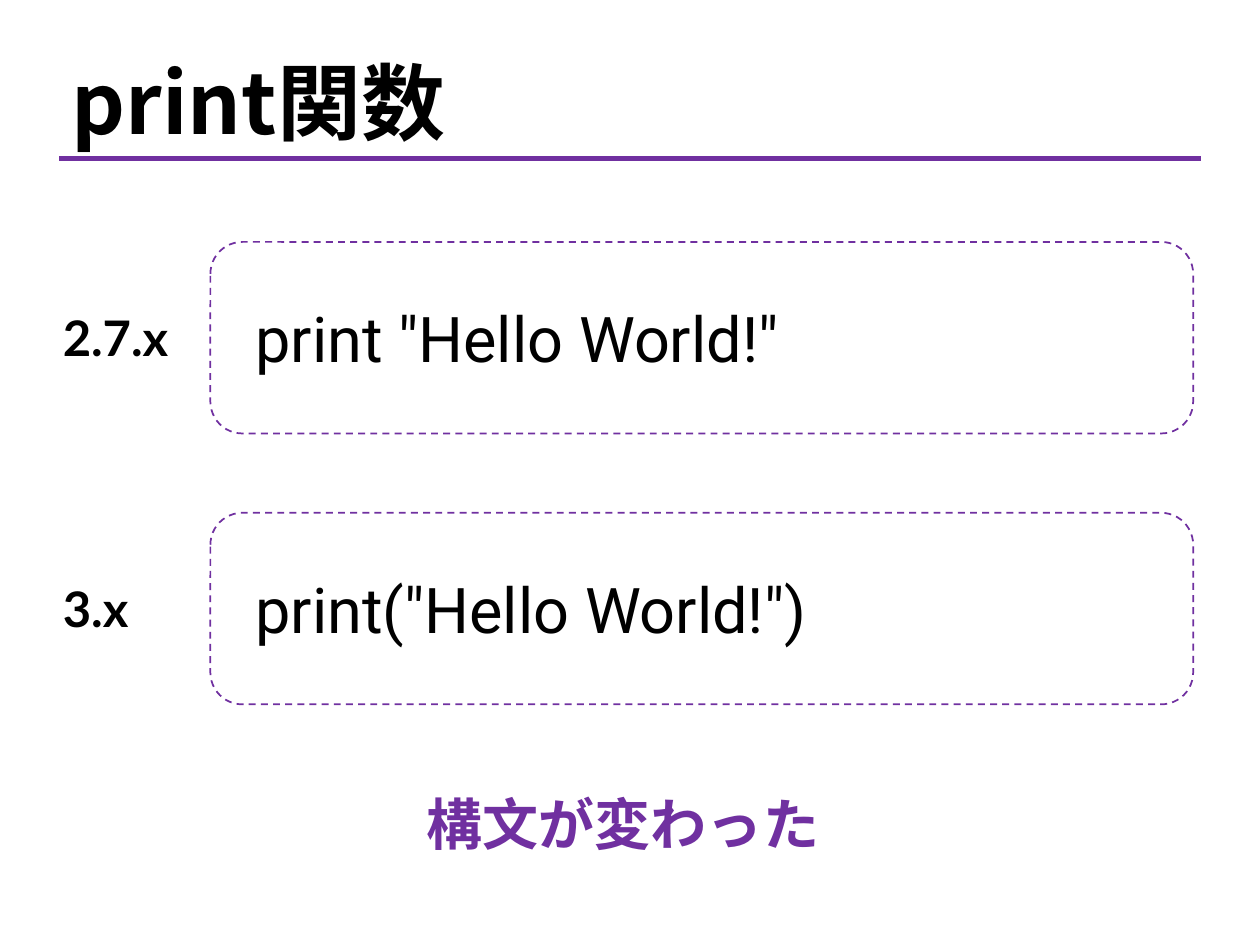
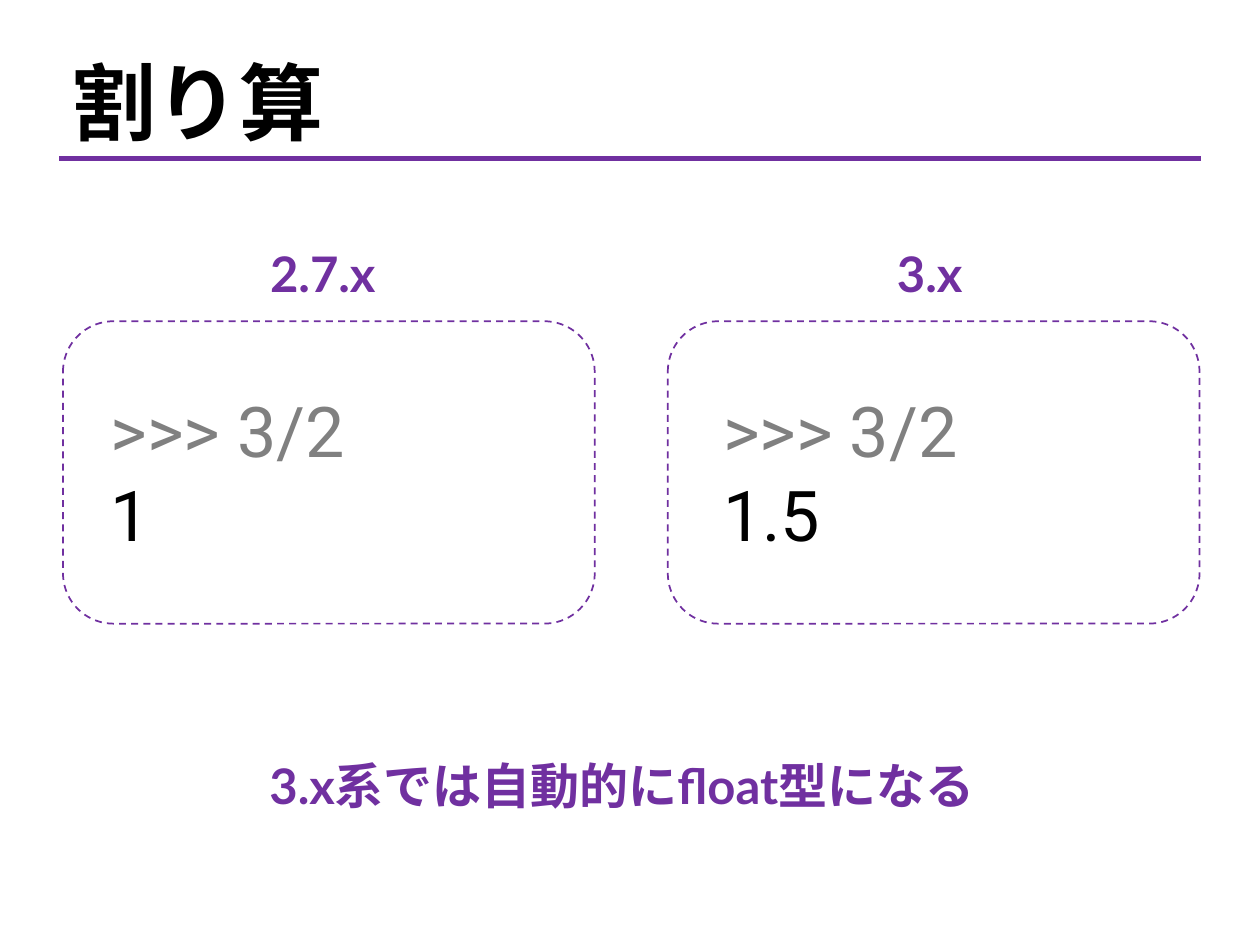
from dataclasses import dataclass
from lxml.etree import SubElement
from pptx import Presentation
from pptx.dml.color import RGBColor
from pptx.enum.dml import MSO_LINE
from pptx.enum.shapes import MSO_CONNECTOR, MSO_SHAPE
from pptx.oxml.ns import qn
from pptx.util import Inches, Pt


@dataclass(frozen=True)
class Theme:
    accent: str = "7030A0"
    ink: str = "000000"
    faint: str = "808080"
    asian: str = "Noto Sans CJK JP"
    sans: str = "Lato"
    code: str = "Roboto"
    title: int = 48
    result: int = 40
    line: int = 36
    note: int = 32
    label: int = 28
    rule: int = 3
    edge: int = 1


T = Theme()


def paint(name):
    return RGBColor.from_string(name)


def write(slide, box, lines, face, size, bold=False, wrap=False):
    frame = slide.shapes.add_textbox(*map(Inches, box)).text_frame
    frame.word_wrap = wrap
    for i, (text, color) in enumerate(lines):
        para = frame.add_paragraph() if i else frame.paragraphs[0]
        para.text = text
        font = para.font
        font.size, font.bold, font.name = Pt(size), bold, face
        font.color.rgb = paint(color)
        props = para._p.pPr.find(qn("a:defRPr"))
        SubElement(props, qn("a:ea")).set("typeface", T.asian)


def head(slide, text, width):
    left, top, high, right = 0.47, 0.35, 0.91, 9.53
    write(slide, (left, top, width, high), [(text, T.ink)], T.asian, T.title, True)
    base = Inches(top + high)
    rule = slide.shapes.add_connector(
        MSO_CONNECTOR.STRAIGHT, Inches(left), base, Inches(right), base)
    rule.line.color.rgb = paint(T.accent)
    rule.line.width = Pt(T.rule)
    SubElement(rule._element.spPr, qn("a:effectLst"))


def label(slide, box, text, color):
    write(slide, box, [(text, color)], T.sans, T.label, True)


def panel(slide, box, pad, width, high, lines, size):
    left, top, _, tall = box
    shape = slide.shapes.add_shape(MSO_SHAPE.ROUNDED_RECTANGLE, *map(Inches, box))
    shape.shadow.inherit = False
    shape.fill.background()
    shape.line.color.rgb = paint(T.accent)
    shape.line.width = Pt(T.edge)
    shape.line.dash_style = MSO_LINE.DASH
    inner = (left + pad, top + (tall - high) / 2, width, high)
    write(slide, inner, lines, T.code, size)


def row(slide, box, name, wide, code, width):
    left, top, full, tall = box
    shift, high = 1.27, 0.57
    label(slide, (left, top + (tall - high) / 2, wide, high), name, T.ink)
    panel(slide, (left + shift, top, full - shift, tall), 0.26, width, 0.71,
          [(code, T.ink)], T.line)


def card(slide, box, name, wide, pad, value):
    left, top, full, tall = box
    label(slide, (left + (full - wide) / 2, top - 0.67, wide, 0.57), name, T.accent)
    panel(slide, box, pad, 2.17, 1.45,
          [(">>> 3/2", T.faint), (value, T.ink)], T.result)


def syntax(slide):
    head(slide, "print関数", 3.47)
    rows = [("2.7.x", 1.13, 'print "Hello World!"', 5.25),
            ("3.x", 0.78, 'print("Hello World!")', 5.5)]
    for i, parts in enumerate(rows):
        row(slide, (0.4, 1.92 + 2.15 * i, 9.07, 1.52), *parts)
    write(slide, (3.29, 6.22, 3.34, 0.64), [("構文が変わった", T.accent)],
          T.sans, T.note, True)


def division(slide):
    head(slide, "割り算", 2.22)
    cards = [("2.7.x", 1.13, 0.28, "1"), ("3.x", 0.78, 0.34, "1.5")]
    for i, parts in enumerate(cards):
        card(slide, (0.5 + 4.8 * i, 2.55, 4.22, 2.4), *parts)
    write(slide, (2.04, 5.95, 5.97, 0.57),
          [("3.x系では自動的にfloat型になる", T.accent)], T.sans, T.label, True, True)


deck = Presentation()
deck.slide_width, deck.slide_height = Inches(10), Inches(7.5)
for build in (syntax, division):
    build(deck.slides.add_slide(deck.slide_layouts[6]))
deck.save("out.pptx")
